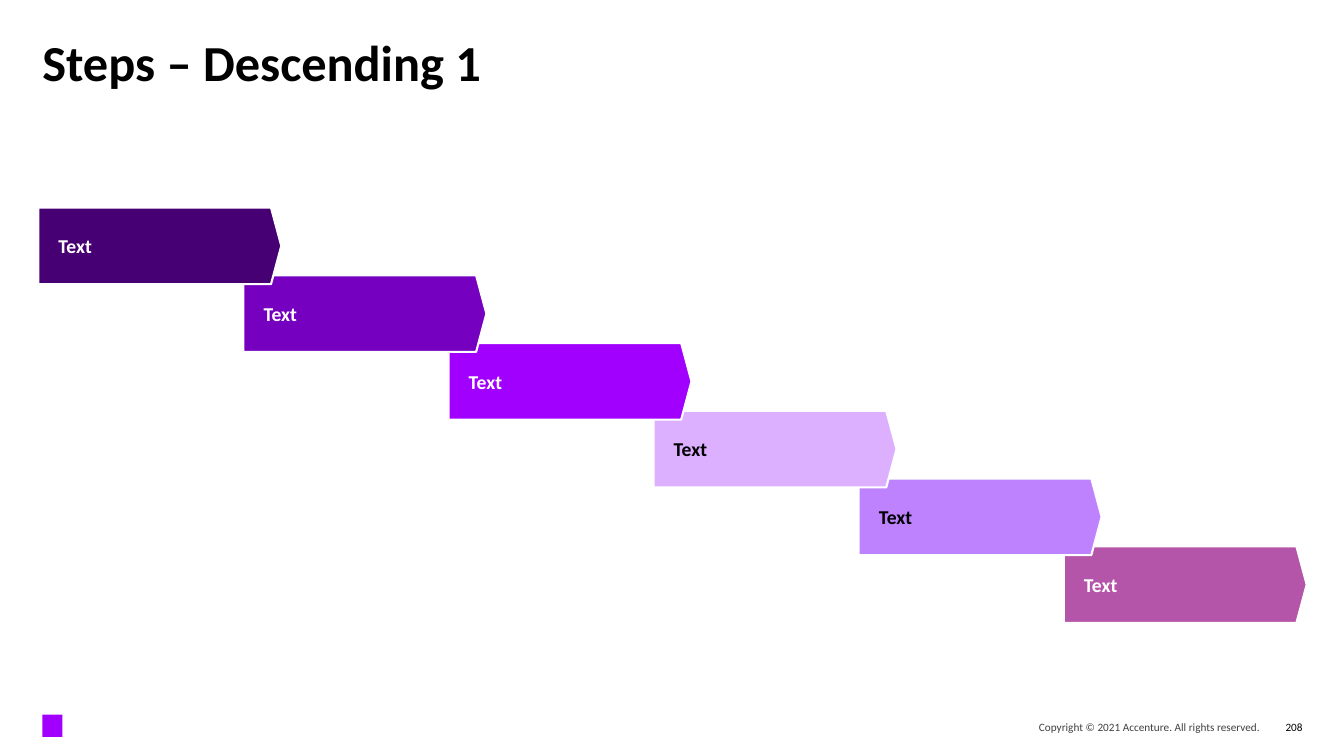
from pptx import Presentation
from pptx.dml.color import RGBColor
from pptx.enum.shapes import MSO_SHAPE
from pptx.enum.text import MSO_ANCHOR, PP_ALIGN
from pptx.util import Inches, Pt

RECTANGLE, STEP_SHAPE = MSO_SHAPE.RECTANGLE, MSO_SHAPE.PENTAGON
TOP, MIDDLE = MSO_ANCHOR.TOP, MSO_ANCHOR.MIDDLE
LEFT, RIGHT = PP_ALIGN.LEFT, PP_ALIGN.RIGHT

TITLE = "Steps – Descending 1"
COPYRIGHT = "Copyright © 2021 Accenture. All rights reserved."
PAGE_NUMBER = "208"
STEPS = [
    ("Text", "460073", "white"),
    ("Text", "7500C0", "white"),
    ("Text", "A100FF", "white"),
    ("Text", "DCAFFF", "black"),
    ("Text", "BE82FF", "black"),
    ("Text", "B455AA", "white"),
]
THEME = {
    "font": "Calibri",
    "black": "000000",
    "white": "FFFFFF",
    "grey": "404040",
    "accent": "A100FF",
    "title_size": 36,
    "step_size": 14,
    "footer_size": 8,
}
FIRST_LEFT, FIRST_TOP = 0.38, 2.06
STEP_WIDTH, STEP_HEIGHT = 2.41, 0.76
STEP_RIGHT, STEP_DOWN = 2.034, 0.672
POINT_DEPTH = 0.134
STEP_INSETS = (0.2, 0.08, 0.08, 0.08)


def color(name):
    return RGBColor.from_string(THEME.get(name, name))


def write(shape, text, size, ink, bold=False, align=LEFT, anchor=MIDDLE, insets=(0, 0, 0, 0)):
    frame = shape.text_frame
    frame.word_wrap = True
    frame.vertical_anchor = anchor
    frame.margin_left, frame.margin_top, frame.margin_right, frame.margin_bottom = map(Inches, insets)
    paragraph = frame.paragraphs[0]
    paragraph.text = text
    paragraph.alignment = align
    paragraph.font.name = THEME["font"]
    paragraph.font.size = Pt(THEME[size])
    paragraph.font.bold = bold
    paragraph.font.color.rgb = color(ink)
    return paragraph


def add_text(slide, box, *content, **style):
    return write(slide.shapes.add_textbox(*map(Inches, box)), *content, **style)


def add_block(slide, kind, box, fill):
    shape = slide.shapes.add_shape(kind, *map(Inches, box))
    shape.shadow.inherit = False
    shape.fill.solid()
    shape.fill.fore_color.rgb = color(fill)
    shape.line.fill.background()
    return shape


def add_step(slide, index):
    text, fill, ink = STEPS[index]
    box = (FIRST_LEFT + index * STEP_RIGHT, FIRST_TOP + index * STEP_DOWN, STEP_WIDTH, STEP_HEIGHT)
    step = add_block(slide, STEP_SHAPE, box, fill)
    step.adjustments[0] = POINT_DEPTH
    step.line.color.rgb = color("white")
    step.line.width = Pt(1.5)
    write(step, text, "step_size", ink, bold=True, insets=STEP_INSETS)


def main():
    presentation = Presentation()
    presentation.slide_width, presentation.slide_height = Inches(13.33), Inches(7.5)
    slide = presentation.slides.add_slide(presentation.slide_layouts[6])
    add_block(slide, RECTANGLE, (0.42, 7.09, 0.2, 0.22), "accent")
    title = add_text(slide, (0.42, 0.42, 12.5, 0.88), TITLE, "title_size", "black", bold=True, anchor=TOP)
    title.line_spacing = 0.8
    for index in reversed(range(len(STEPS))):
        add_step(slide, index)
    add_text(slide, (8, 7.1, 4.5, 0.22), COPYRIGHT, "footer_size", "grey", align=RIGHT)
    add_text(slide, (12.56, 7.1, 0.36, 0.22), PAGE_NUMBER, "footer_size", "black", align=RIGHT)
    presentation.save("out.pptx")


if __name__ == "__main__":
    main()
